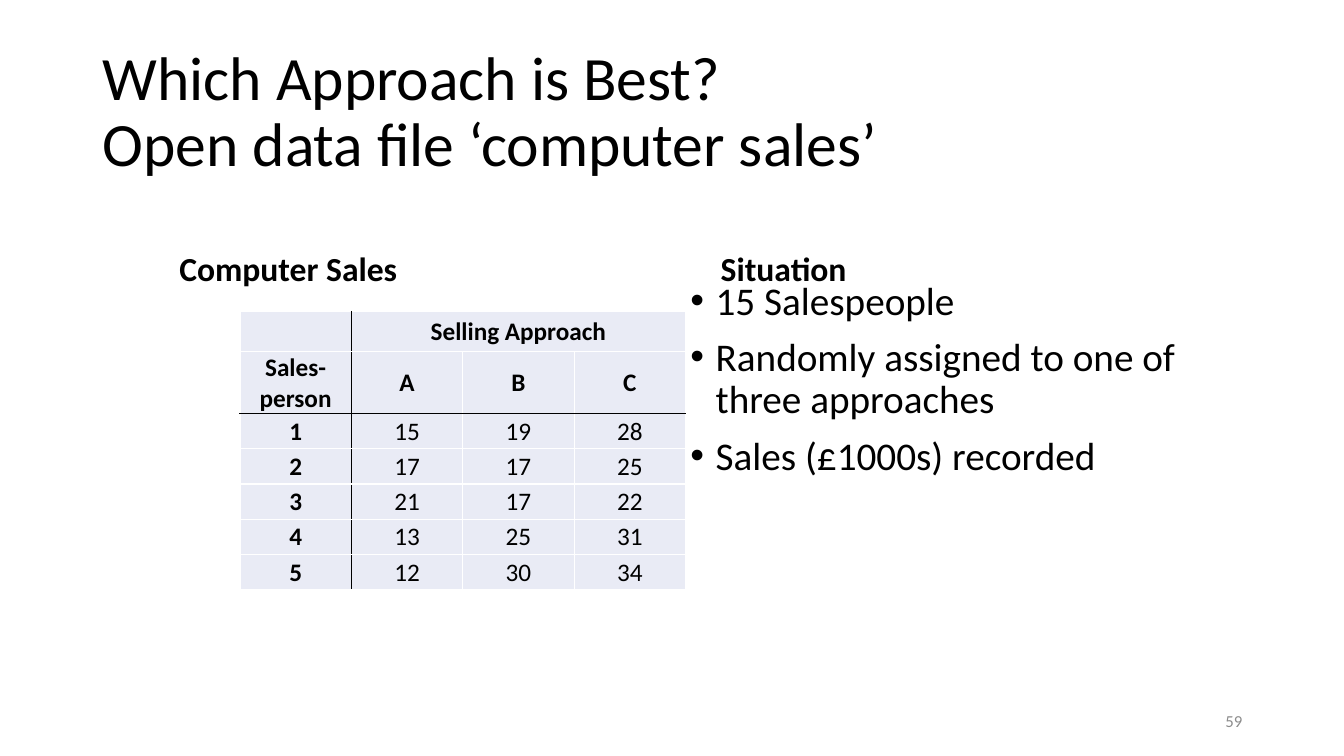
from dataclasses import dataclass

from lxml import etree
from pptx import Presentation
from pptx import util as u
from pptx.dml.color import RGBColor
from pptx.enum import text as t
from pptx.oxml import ns

BLACK = RGBColor(0x00, 0x00, 0x00)
WHITE = RGBColor(0xFF, 0xFF, 0xFF)
GREY = RGBColor(0x8C, 0x8C, 0x8C)
PALE = RGBColor(0xE9, 0xEB, 0xF5)
FONT = "Calibri"


@dataclass
class Block:
    lines: list[str]
    box: tuple[float, float, float, float]
    size: int
    anchor: t.MSO_ANCHOR = t.MSO_ANCHOR.MIDDLE
    align: t.PP_ALIGN = t.PP_ALIGN.LEFT
    color: RGBColor = BLACK
    bold: bool = False
    bullet: bool = False
    spacing: float = 0.9


BLOCKS = [
    Block(["Which Approach is Best?\vOpen data file ‘computer sales’"],
          (0.92, 0.4, 11.5, 1.45), 44),
    Block(["Computer Sales"], (1.68, 2.03, 5.04, 0.88), 24,
          t.MSO_ANCHOR.BOTTOM, bold=True),
    Block(["Situation"], (7.05, 2.03, 5.04, 0.88), 24,
          t.MSO_ANCHOR.BOTTOM, bold=True),
    Block(["15 Salespeople", "Randomly assigned to one of three approaches",
           "Sales (£1000s) recorded"],
          (6.75, 2.74, 5.67, 4.03), 28, t.MSO_ANCHOR.TOP, bullet=True),
    Block(["59"], (9.42, 6.95, 3, 0.4), 12, align=t.PP_ALIGN.RIGHT,
          color=GREY, spacing=1.0),
]

SALES = [(15, 19, 28), (17, 17, 25), (21, 17, 22), (13, 25, 31), (12, 30, 34)]
ROWS = [["", "Selling Approach", "", ""], ["Sales-\nperson", "A", "B", "C"]]
ROWS += [[str(n) for n in (rank, *sales)] for rank, sales in enumerate(SALES, 1)]
HEADS = 2
HEIGHTS = [0.35, 0.53] + [0.35] * len(SALES)
WIDTH = 4.42


def style(para, size: int, bold: bool, color: RGBColor) -> None:
    font = para.font
    font.name, font.size, font.bold = FONT, u.Pt(size), bold
    font.color.rgb = color


def add_block(slide, block: Block) -> None:
    frame = slide.shapes.add_textbox(*map(u.Inches, block.box)).text_frame
    frame.word_wrap = True
    frame.vertical_anchor = block.anchor
    frame.text = "\n".join(block.lines)
    for i, para in enumerate(frame.paragraphs):
        para.alignment = block.align
        para.line_spacing = block.spacing
        if i:
            para.space_before = u.Pt(10)
        if block.bullet:
            props = para._p.get_or_add_pPr()
            props.set("marL", str(u.Inches(0.25)))
            props.set("indent", str(-u.Inches(0.25)))
            face = etree.SubElement(props, ns.qn("a:buFont"))
            face.set("typeface", "Arial")
            etree.SubElement(props, ns.qn("a:buChar")).set("char", "•")
        style(para, block.size, block.bold, block.color)


def add_edge(cell, side: str, color: RGBColor) -> None:
    line = etree.SubElement(cell._tc.get_or_add_tcPr(), ns.qn(f"a:ln{side}"))
    line.set("w", str(u.Pt(1)))
    fill = etree.SubElement(line, ns.qn("a:solidFill"))
    etree.SubElement(fill, ns.qn("a:srgbClr")).set("val", str(color))


def fill_cell(cell, row: int, col: int) -> None:
    # Black rules part the heads from the figures
    dark = {"L": col == 1, "R": col == 0, "T": row == HEADS, "B": row == HEADS - 1}
    for side, is_dark in dark.items():
        add_edge(cell, side, BLACK if is_dark else WHITE)
    cell.fill.solid()
    cell.fill.fore_color.rgb = PALE

    gap = u.Inches(0.01 if row else 0.05)
    cell.margin_left = cell.margin_right = cell.margin_top = gap
    cell.margin_bottom = u.Inches(0 if row else 0.05)
    cell.vertical_anchor = t.MSO_ANCHOR.MIDDLE if row else t.MSO_ANCHOR.TOP
    cell.text = ROWS[row][col]
    for para in cell.text_frame.paragraphs:
        para.alignment = t.PP_ALIGN.CENTER
        style(para, 18, row < HEADS or col == 0, BLACK)


def add_sales(slide) -> None:
    cols = len(ROWS[0])
    table = slide.shapes.add_table(
        len(ROWS), cols, u.Inches(2.38), u.Inches(3.09),
        u.Inches(WIDTH), u.Inches(sum(HEIGHTS))).table
    table.first_row = table.horz_banding = False
    for row, height in enumerate(HEIGHTS):
        table.rows[row].height = u.Inches(height)
        for col in range(cols):
            fill_cell(table.cell(row, col), row, col)
    table.cell(0, 1).merge(table.cell(0, cols - 1))


def main() -> None:
    deck = Presentation()
    deck.slide_width, deck.slide_height = u.Inches(13.33), u.Inches(7.5)
    slide = deck.slides.add_slide(deck.slide_layouts[6])

    # Title, headings, bullets and page number
    for block in BLOCKS:
        add_block(slide, block)

    # Sales by person and approach
    add_sales(slide)
    deck.save("out.pptx")


if __name__ == "__main__":
    main()
